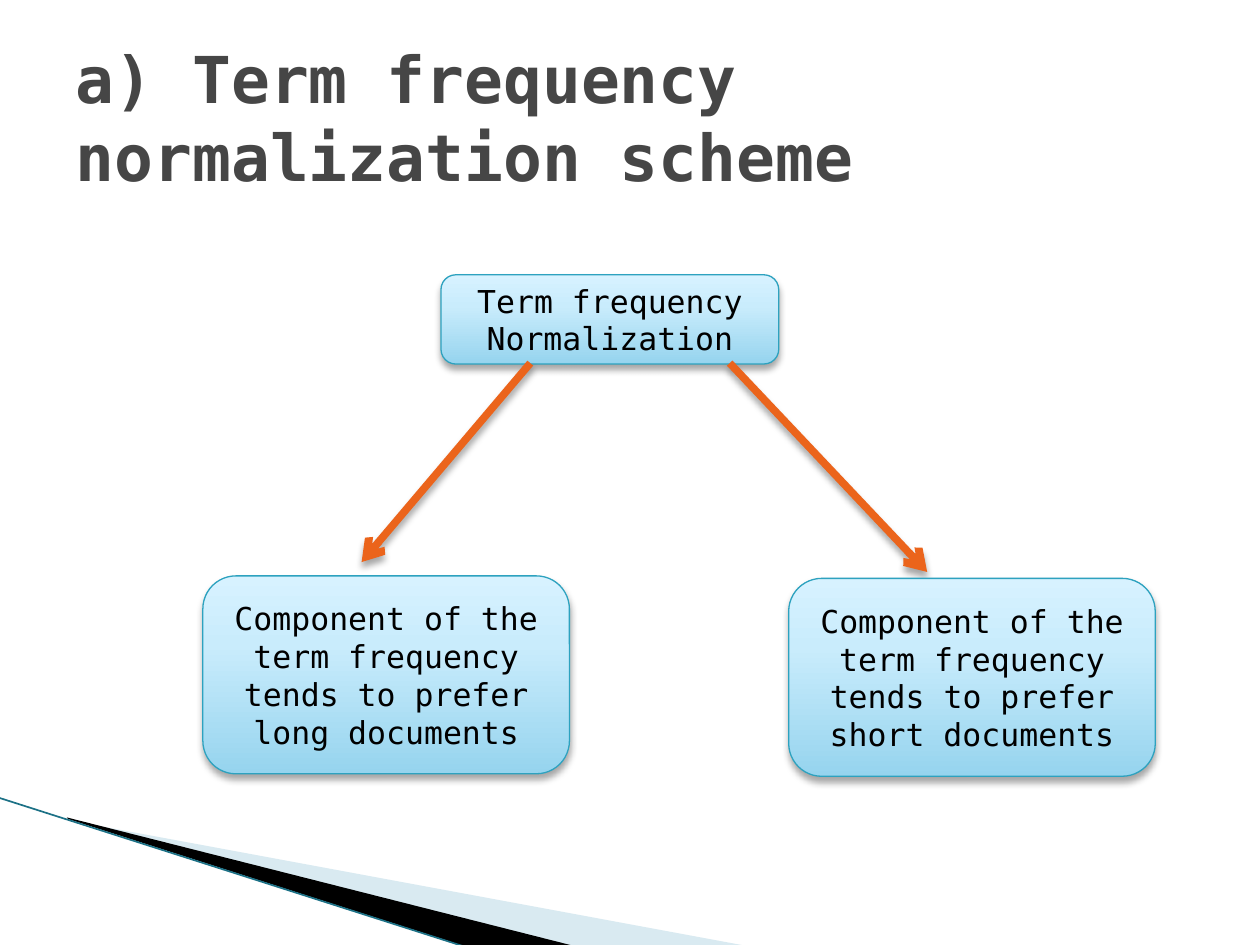
from lxml.etree import SubElement
from pptx import Presentation
from pptx.dml.color import RGBColor
from pptx.enum.shapes import MSO_CONNECTOR as Connector, MSO_SHAPE as Shape
from pptx.enum.text import MSO_ANCHOR as Anchor, MSO_AUTO_SIZE as AutoSize, PP_ALIGN as Align
from pptx.oxml.ns import qn
from pptx.util import Cm, Pt

FONT = "DejaVu Sans Mono"
COLORS = {
    "title": "464646",
    "text": "000000",
    "outline": "2DA2BF",
    "arrow": "EB641B",
    "pale": "A0CBDC",
    "dark": "000000",
    "edge": "1C7186",
    "shadow": "000000",
}
BOX_GRADIENT = [(0, "96D4EE"), (65, "C9ECFC"), (100, "D7F2FF")]


def color(name):
    return RGBColor.from_string(COLORS[name])


def add_alpha(parent, percent):
    SubElement(parent, qn("a:alpha"), val=str(percent * 1000))


class SlideBuilder:
    def __init__(self, slide):
        self.slide = slide
        self.shapes = slide.shapes

    def set_text(self, frame, text, size, ink, align, bold=False):
        frame.word_wrap = True
        frame.auto_size = AutoSize.NONE
        frame.vertical_anchor = Anchor.MIDDLE
        para = frame.paragraphs[0]
        para.text = text
        para.alignment = align
        para.font.name = FONT
        para.font.size = Pt(size)
        para.font.bold = bold
        para.font.color.rgb = color(ink)

    def title(self, text, left, top, width, height):
        title = self.shapes.title
        title.left, title.top = Cm(left), Cm(top)
        title.width, title.height = Cm(width), Cm(height)
        self.set_text(title.text_frame, text, 36.9, "title", Align.LEFT, bold=True)

    def drop_shadow(self, shape):
        effects = SubElement(shape._element.spPr, qn("a:effectLst"))
        shadow = SubElement(
            effects, qn("a:outerShdw"), blurRad=str(Pt(4)), dist=str(Pt(3)),
            dir="5400000", rotWithShape="0",
        )
        add_alpha(SubElement(shadow, qn("a:srgbClr"), val=COLORS["shadow"]), 35)

    def box(self, text, left, top, width, height):
        box = self.shapes.add_shape(
            Shape.ROUNDED_RECTANGLE, Cm(left), Cm(top), Cm(width), Cm(height)
        )
        box.fill.gradient()
        box.fill.gradient_angle = 90
        stops = box._element.spPr.find(".//" + qn("a:gsLst"))
        stops.clear()
        for position, shade in BOX_GRADIENT:
            stop = SubElement(stops, qn("a:gs"), pos=str(position * 1000))
            SubElement(stop, qn("a:srgbClr"), val=shade)
        box.line.color.rgb = color("outline")
        box.line.width = Pt(0.75)
        self.drop_shadow(box)
        self.set_text(box.text_frame, text, 18, "text", Align.CENTER)

    def line(self, start, end, ink, width):
        line = self.shapes.add_connector(
            Connector.STRAIGHT, *(Cm(value) for value in (*start, *end))
        )
        line.line.color.rgb = color(ink)
        line.line.width = Pt(width)
        return line

    def plain_line(self, start, end, ink, width):
        line = self.line(start, end, ink, width)
        SubElement(line._element.spPr, qn("a:effectLst"))

    def arrow(self, start, end):
        arrow = self.line(start, end, "arrow", 4.33)
        outline = arrow._element.spPr.find(qn("a:ln"))
        SubElement(outline, qn("a:tailEnd"), type="arrow")
        self.drop_shadow(arrow)

    def wedge(self, points, ink, opacity=100):
        first, *others = [(Cm(x), Cm(y)) for x, y in points]
        builder = self.shapes.build_freeform(*first)
        builder.add_line_segments(others, close=True)
        wedge = builder.convert_to_shape()
        wedge.shadow.inherit = False
        wedge.fill.solid()
        wedge.fill.fore_color.rgb = color(ink)
        wedge.line.fill.background()
        if opacity < 100:
            add_alpha(wedge._element.spPr.find(".//" + qn("a:srgbClr")), opacity)


def main():
    deck = Presentation()
    deck.slide_width, deck.slide_height = Cm(25.4), Cm(19.05)
    page = SlideBuilder(deck.slides.add_slide(deck.slide_layouts[5]))

    page.wedge([(1.4, 16.54), (15.11, 19.08), (11.58, 19.08), (1.4, 16.51)], "pale", 40)
    page.wedge([(1.35, 16.48), (11.61, 19.08), (9.45, 19.1), (1.37, 16.51)], "dark")
    page.plain_line((-0.03, 16.08), (9.42, 19.1), "edge", 0.95)

    page.title("a) Term frequency normalization scheme", 1.27, 0.76, 22.86, 3.18)
    page.box("Term frequency Normalization", 8.89, 5.54, 6.81, 1.8)
    page.arrow((14.71, 7.32), (18.69, 11.53))
    page.arrow((10.69, 7.32), (7.29, 11.33))
    for length, left, top in [("long", 4.09, 11.61), ("short", 15.9, 11.66)]:
        text = f"Component of the term frequency tends to prefer {length} documents"
        page.box(text, left, top, 7.39, 3.99)

    deck.save("out.pptx")


if __name__ == "__main__":
    main()
